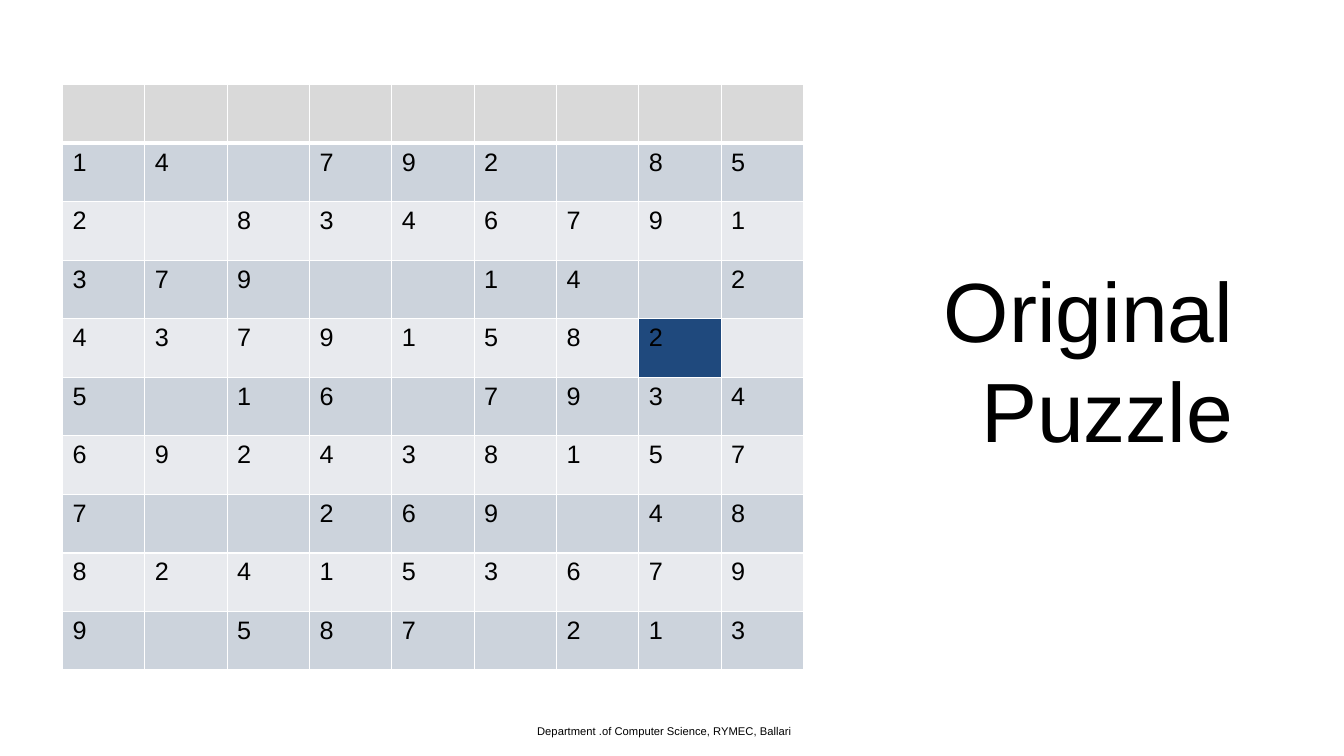
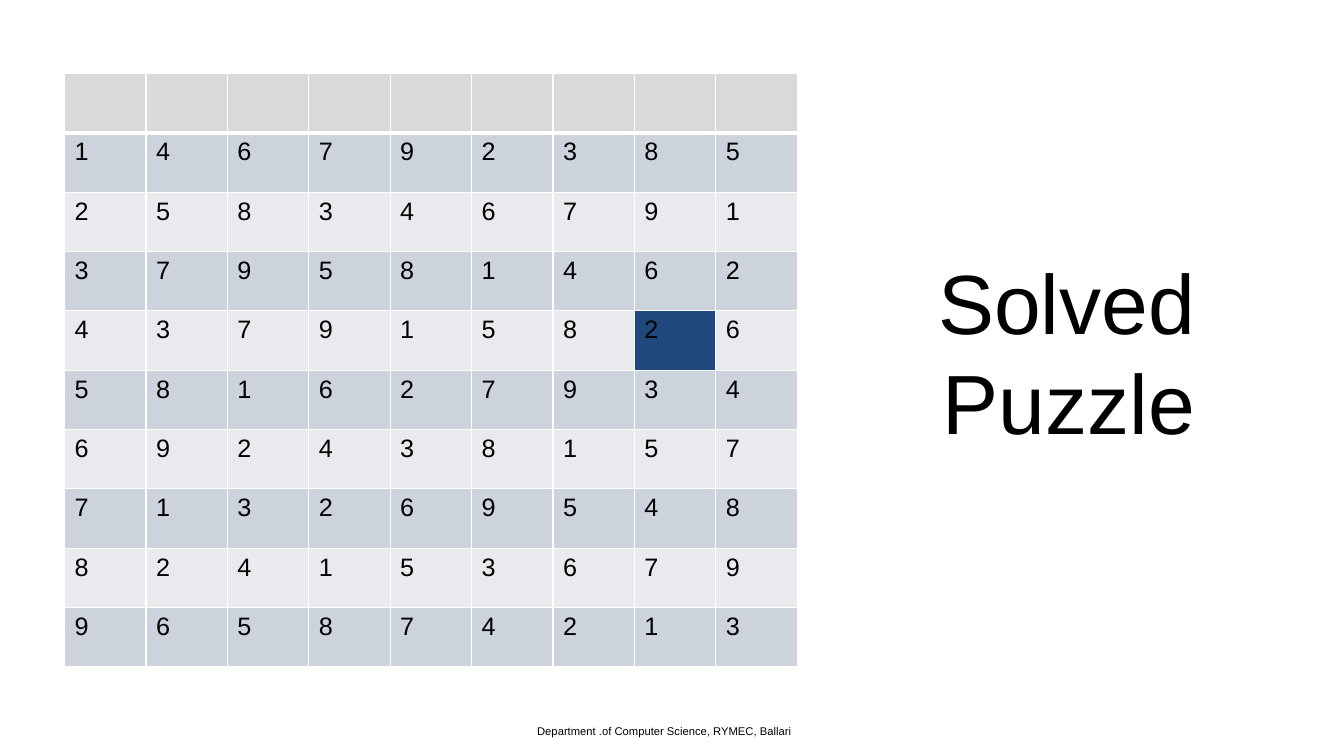
from dataclasses import dataclass
from lxml.etree import SubElement
from pptx import Presentation
from pptx.dml.color import RGBColor
from pptx.enum.text import MSO_ANCHOR, PP_ALIGN
from pptx.oxml.ns import qn
from pptx.util import Inches, Pt


@dataclass(frozen=True)
class Theme:
    font: str = "Arial"
    ink: str = "000000"
    line: str = "FFFFFF"
    head: str = "D9D9D9"
    bands: tuple = ("E8EAEE", "CCD3DC")
    mark: str = "1F497D"
    title: int = 60
    digit: int = 18
    foot: int = 8
    thin: int = 1
    thick: int = 3


THEME = Theme()
WIDE, HIGH = Inches(13.33), Inches(7.5)
MARK = (4, 7)
FOOT = "Department .of Computer Science, RYMEC, Ballari"
FOOT_BOX = (39.23, 95.2, 25.36, 4.8)

PUZZLES = [
    {
        "title": "Original Puzzle",
        "title_box": (67.07, 33.33, 25.43, 28.27),
        "grid_box": (4.65, 11.2, 55.14, 77.47),
        "rows": ["14 792 85", "2 8346791", "379  14 2", "43791582 ",
                 "5 16 7934", "692438157", "7  269 48", "824153679",
                 "9 587 213"],
    },
    {
        "title": "Solved Puzzle",
        "title_box": (63.09, 32.27, 26.56, 28.27),
        "grid_box": (4.8, 9.73, 54.54, 78.53),
        "rows": ["146792385", "258346791", "379581462", "437915826",
                 "581627934", "692438157", "713269548", "824153679",
                 "965874213"],
    },
]


def scale(box):
    sides = (WIDE, HIGH, WIDE, HIGH)
    return [round(side * part / 100) for side, part in zip(sides, box)]


def style(para, size):
    for run in para.runs:
        run.font.name = THEME.font
        run.font.size = Pt(size)
        run.font.color.rgb = RGBColor.from_string(THEME.ink)


def add_text(slide, box, text, size, align=PP_ALIGN.LEFT, anchor=MSO_ANCHOR.TOP):
    frame = slide.shapes.add_textbox(*scale(box)).text_frame
    frame.word_wrap = True
    frame.vertical_anchor = anchor
    frame.text = text
    para = frame.paragraphs[0]
    para.alignment = align
    style(para, size)


def add_edges(cell, base):
    props = cell._tc.get_or_add_tcPr()
    for place, side in enumerate("LRTB"):
        width = base if side == "B" else THEME.thin
        edge = SubElement(props, qn(f"a:ln{side}"), w=str(Pt(width)))
        fill = SubElement(edge, qn("a:solidFill"))
        SubElement(fill, qn("a:srgbClr"), val=THEME.line)
        props.insert(place, edge)


def fill_cell(cell, text, color, base):
    cell.fill.solid()
    cell.fill.fore_color.rgb = RGBColor.from_string(color)
    add_edges(cell, base)
    if text.strip():
        cell.text_frame.text = text
        style(cell.text_frame.paragraphs[0], THEME.digit)


def add_grid(slide, box, rows):
    lines = [" " * len(rows[0]), *rows]
    shape = slide.shapes.add_table(len(lines), len(rows[0]), *scale(box))
    table = shape.table
    table.first_row = table.horz_banding = False
    for row, line in enumerate(lines):
        band = THEME.bands[row % 2] if row else THEME.head
        base = THEME.thin if row else THEME.thick
        for col, text in enumerate(line):
            color = THEME.mark if (row, col) == MARK else band
            fill_cell(table.cell(row, col), text, color, base)


def add_puzzle(deck, puzzle):
    slide = deck.slides.add_slide(deck.slide_layouts[6])
    add_text(slide, puzzle["title_box"], puzzle["title"], THEME.title,
             PP_ALIGN.RIGHT, MSO_ANCHOR.MIDDLE)
    add_grid(slide, puzzle["grid_box"], puzzle["rows"])
    add_text(slide, FOOT_BOX, FOOT, THEME.foot)


def main():
    deck = Presentation()
    deck.slide_width, deck.slide_height = WIDE, HIGH
    for puzzle in PUZZLES:
        add_puzzle(deck, puzzle)
    deck.save("out.pptx")


if __name__ == "__main__":
    main()
